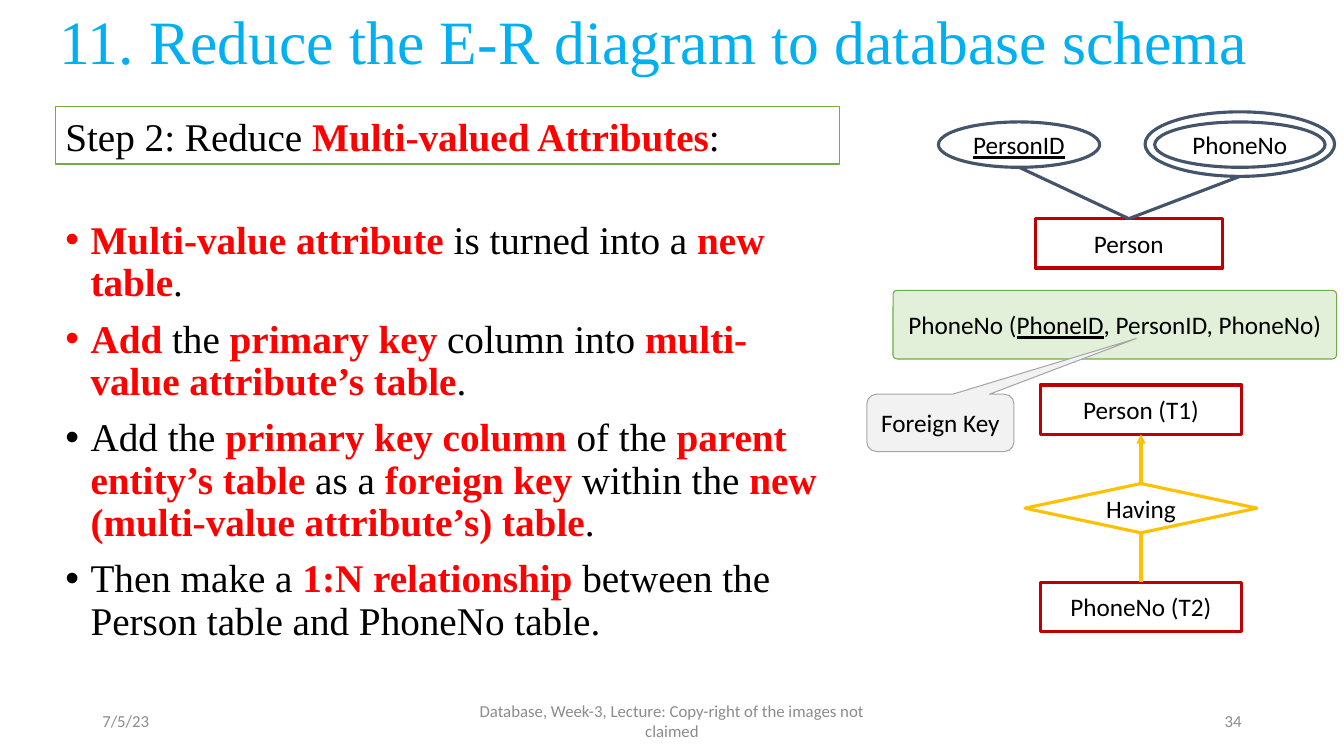
from lxml import etree
from pptx import Presentation
from pptx import util as u
from pptx.dml.color import RGBColor
from pptx.enum import shapes, text
from pptx.oxml.ns import qn

Pt = u.Pt
KIND = shapes.MSO_SHAPE
LEFT, MID, RIGHT = text.PP_ALIGN.LEFT, text.PP_ALIGN.CENTER, text.PP_ALIGN.RIGHT
HUE = {"title": "00B0F0", "key": "FF0000", "ink": "000000", "foot": "8C8C8C",
       "paper": "FFFFFF", "green": "70AD47", "mint": "E2F0D9", "navy": "44546A",
       "brick": "C00000", "gold": "FFC000", "pale": "F2F2F2", "gray": "A6A6A6"}
SERIF, SANS = "Times New Roman", "Calibri"

RULES = [
    [("Multi-value attribute ", 1), ("is turned into a ", 0), ("new table", 1), (".", 0)],
    [("Add", 1), (" the ", 0), ("primary key ", 1), ("column into ", 0),
     ("multi-value attribute’s table", 1), (".", 0)],
    [("Add the ", 0), ("primary key column ", 1), ("of the ", 0),
     ("parent entity’s table ", 1), ("as a ", 0), ("foreign key ", 1),
     ("within the ", 0), ("new (multi-value attribute’s) table", 1), (".", 0)],
    [("Then make a ", 0), ("1:N relationship ", 1),
     ("between the Person table and PhoneNo table.", 0)],
]


def rgb(name):
    """Return the named colour."""
    return RGBColor.from_string(HUE[name])


def add_run(para, words, size, face=SANS, hue="ink", bold=False, under=False):
    """Add one styled run to a paragraph."""
    run = para.add_run()
    run.text = words
    font = run.font
    font.size, font.name = Pt(size), face
    font.bold, font.underline = bold, under
    font.color.rgb = rgb(hue)


def add_keyed(para, parts):
    """Add serif runs, with key terms bold and red."""
    for words, key in parts:
        add_run(para, words, 28, SERIF, "key" if key else "ink", bool(key))


def add_area(slide, box, anchor=text.MSO_ANCHOR.MIDDLE):
    """Add a wrapping text box and return its frame."""
    frame = slide.shapes.add_textbox(*map(Pt, box)).text_frame
    frame.word_wrap = True
    frame.vertical_anchor = anchor
    return frame


def add_node(slide, kind, box, line, width=2.25, fill=None, parts=(), align=MID):
    """Add an outlined shape with optional (words, underline) label parts."""
    node = slide.shapes.add_shape(kind, *map(Pt, box))
    node.shadow.inherit = False
    if fill:
        node.fill.solid()
        node.fill.fore_color.rgb = rgb(fill)
    else:
        node.fill.background()
    node.line.color.rgb = rgb(line)
    node.line.width = Pt(width)
    frame = node.text_frame
    frame.word_wrap = True
    frame.vertical_anchor = text.MSO_ANCHOR.MIDDLE
    para = frame.paragraphs[0]
    para.alignment = align
    for words, under in parts:
        add_run(para, words, 18, under=bool(under))
    return node


def add_link(slide, start, site, end, goal, hue, arrow=False):
    """Join two nodes from the site of one to the site of the other."""
    def spot(node, side):
        return node.left + node.width // 2, node.top + (node.height if side == 2 else 0)

    link = slide.shapes.add_connector(
        shapes.MSO_CONNECTOR.STRAIGHT, *spot(start, site), *spot(end, goal))
    if start.auto_shape_type != KIND.OVAL:
        link.begin_connect(start, site)
    link.end_connect(end, goal)
    link.line.color.rgb = rgb(hue)
    link.line.width = Pt(2.25)
    if arrow:
        etree.SubElement(link.line._get_or_add_ln(), qn("a:tailEnd"), type="triangle")
    etree.SubElement(link._element.spPr, qn("a:effectLst"))


def add_title(slide, box):
    """Place the slide title in the box."""
    para = add_area(slide, box).paragraphs[0]
    para.line_spacing = 0.9
    add_run(para, "11. Reduce the E-R diagram to database schema", 44, SERIF, "title")


def add_step(slide, box):
    """Place the framed step heading in the box."""
    node = add_node(slide, KIND.RECTANGLE, box, "green", 1, "paper", align=LEFT)
    add_keyed(node.text_frame.paragraphs[0],
              [("Step 2: Reduce ", 0), ("Multi-valued Attributes", 1), (":", 0)])


def add_rules(slide, box):
    """Place the bulleted rules in the box."""
    frame = add_area(slide, box, text.MSO_ANCHOR.TOP)
    for i, parts in enumerate(RULES):
        para = frame.add_paragraph() if i else frame.paragraphs[0]
        props = para._p.get_or_add_pPr()
        props.set("marL", str(Pt(18)))
        props.set("indent", str(-Pt(18)))
        etree.SubElement(props, qn("a:buFont"), typeface="Arial")
        etree.SubElement(props, qn("a:buChar"), char="•")
        para.line_spacing = 0.9
        if i:
            para.space_before = Pt(10)
        add_keyed(para, parts)


def add_model(slide, box):
    """Place the entity and its two attributes in the box."""
    x, y, w, h = box
    person = add_node(slide, KIND.RECTANGLE, (x + 69.1, y + h - 35.3, 133.9, 35.3),
                      "brick", parts=[("Person", 0)])
    ident = add_node(slide, KIND.OVAL, (x, y + 7.2, 115.2, 32.4),
                     "navy", parts=[("PersonID", 1)])
    add_node(slide, KIND.OVAL, (x + w - 128.5, y + 7.2, 121.7, 32.4),
             "navy", parts=[("PhoneNo", 0)])
    ring = add_node(slide, KIND.OVAL, (x + w - 135.4, y, 135.4, 46.1), "navy")
    for oval in (ident, ring):
        add_link(slide, oval, 2, person, 0, "navy")


def add_tables(slide, box):
    """Stack the two tables and their relationship in the box."""
    x, y, w, h = box
    high, wide = h / 5, 144
    rows = [(KIND.RECTANGLE, wide, "brick", "Person (T1)"),
            (KIND.DIAMOND, w, "gold", "Having"),
            (KIND.RECTANGLE, wide, "brick", "PhoneNo (T2)")]
    first, having, last = [
        add_node(slide, kind, (x + (w - size) / 2, y + 2 * i * high, size, high),
                 hue, parts=[(words, 0)])
        for i, (kind, size, hue, words) in enumerate(rows)]
    add_link(slide, having, 2, last, 0, "gold")
    add_link(slide, having, 0, first, 2, "gold", arrow=True)


def add_schema(slide, box):
    """Place the new table's schema and its key callout in the box."""
    x, y, w, h = box
    bar = add_node(slide, KIND.ROUNDED_RECTANGLE, (x + 18.7, y, w - 18.7, 49),
                   "green", 0.75, "mint",
                   [("PhoneNo (", 0), ("PhoneID", 1), (", PersonID, PhoneNo)", 0)])
    bar.adjustments[0] = 0.06
    note = add_node(slide, KIND.ROUNDED_RECTANGULAR_CALLOUT, (x, y + h - 41, 105.1, 41),
                    "gray", 0.75, "pale", [("Foreign Key", 0)])
    for i, value in enumerate((1.33, -1.47, 0.17)):
        note.adjustments[i] = value


def add_footer(slide, box):
    """Place date, note and page number along the box."""
    x, y, w, h = box
    parts = [(0, 216, LEFT, "7/5/23"),
             ((w - 324) / 2, 324, MID,
              "Database, Week-3, Lecture: Copy-right of the images not claimed"),
             (w - 216, 216, RIGHT, "34")]
    for left, wide, align, words in parts:
        para = add_area(slide, (x + left, y, wide, h)).paragraphs[0]
        para.alignment = align
        add_run(para, words, 12, hue="foot")


def main():
    """Build the slide and save it."""
    deck = Presentation()
    deck.slide_width, deck.slide_height = Pt(960), Pt(540)
    slide = deck.slides.add_slide(deck.slide_layouts[6])
    add_title(slide, (35.3, 0, 889.2, 64))
    add_footer(slide, (66, 500.5, 828, 28.75))
    add_rules(slide, (39.6, 154, 560.2, 341.4))
    add_step(slide, (39.6, 76.3, 560.2, 41))
    add_model(slide, (670.3, 79.9, 283, 111.6))
    add_tables(slide, (732.2, 275, 165.6, 176))
    add_schema(slide, (619.2, 207.4, 335.5, 115.2))
    deck.save("out.pptx")


if __name__ == "__main__":
    main()
